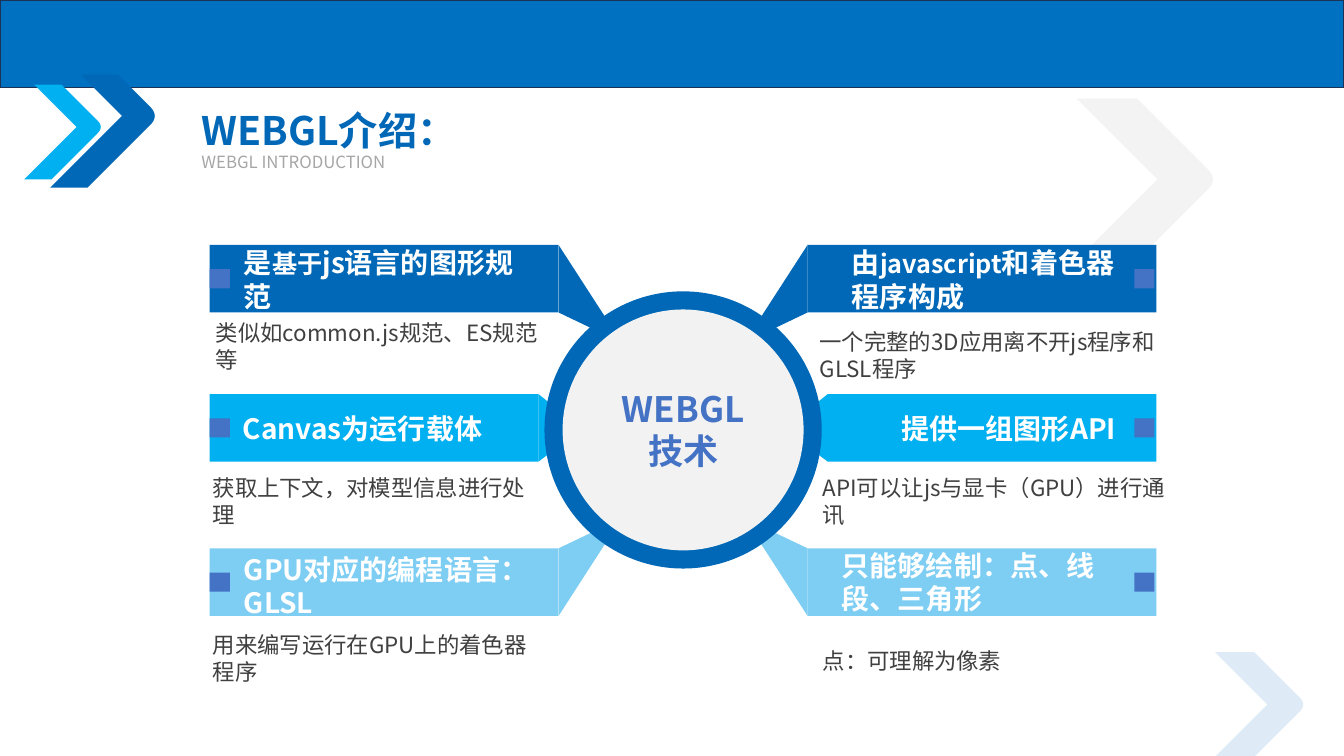
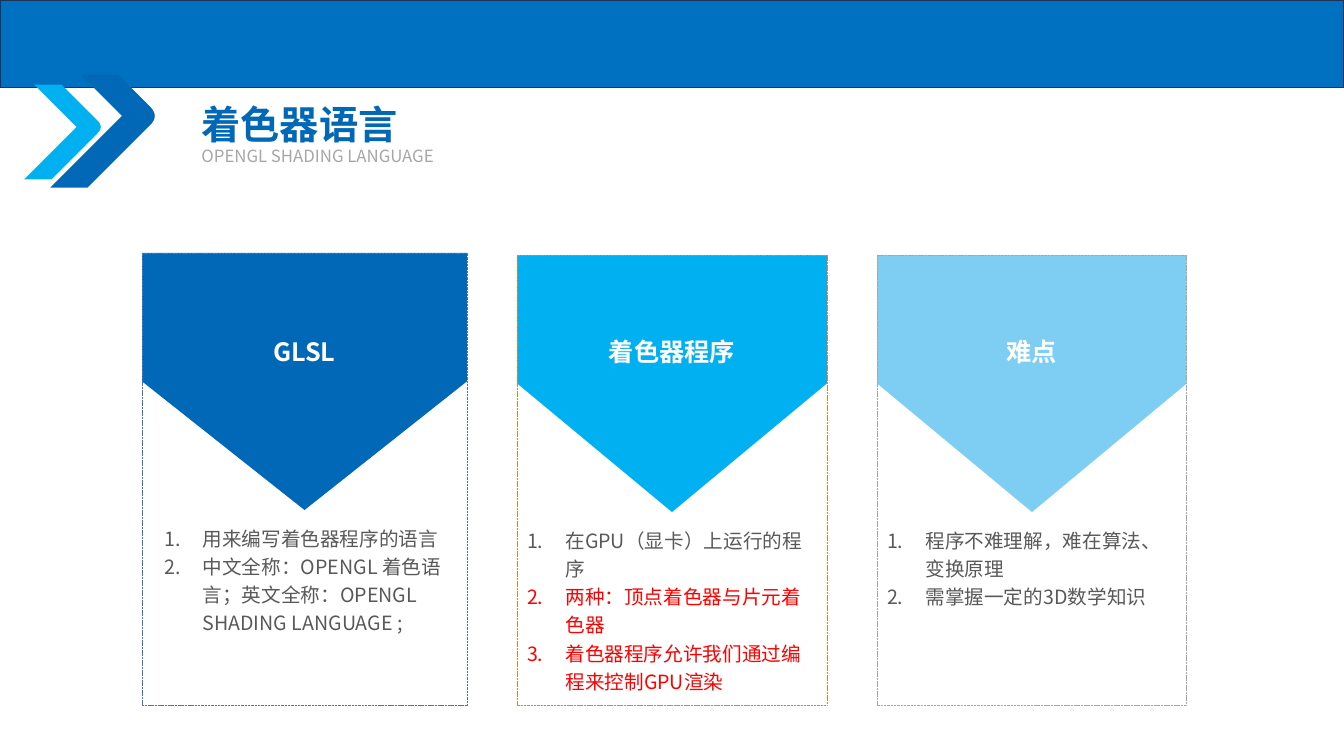
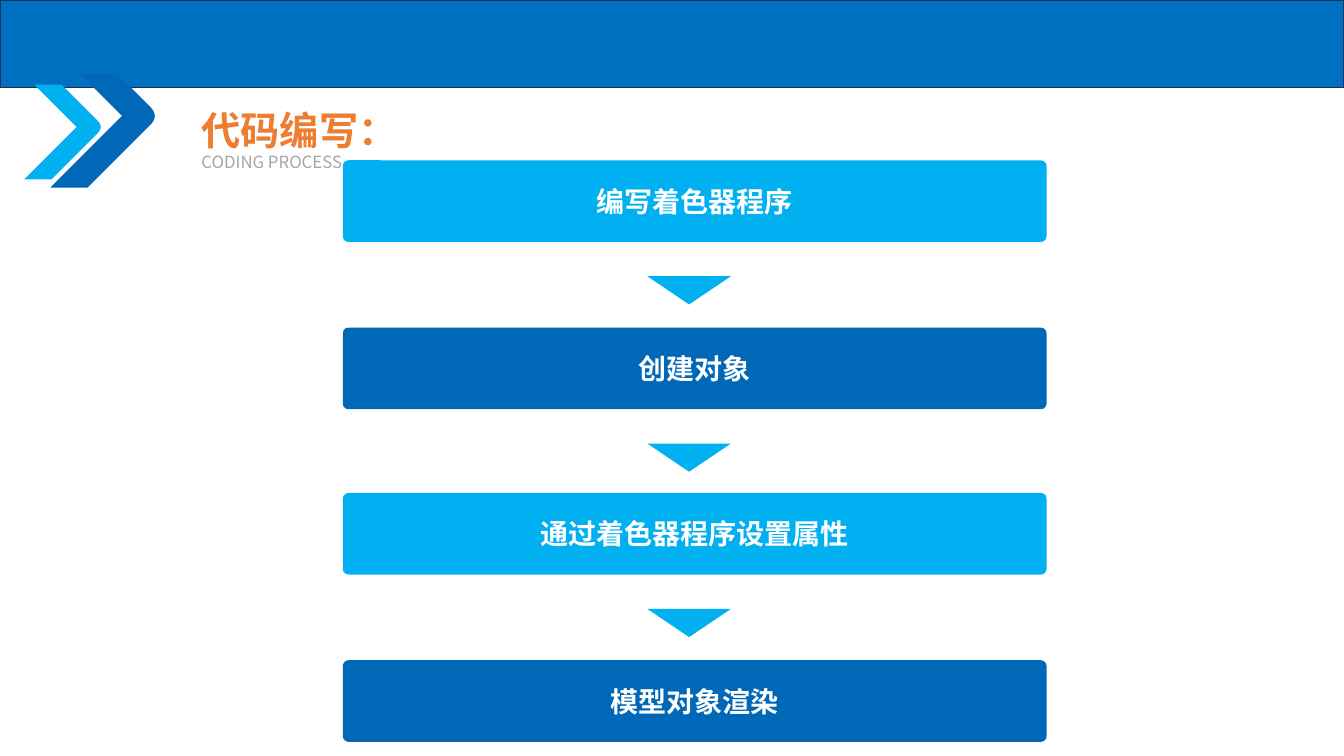
from dataclasses import dataclass

from lxml.etree import SubElement as Sub
from pptx import Presentation
from pptx.dml.color import RGBColor as RGB
from pptx.enum.dml import MSO_LINE as Dash
from pptx.enum.shapes import MSO_SHAPE as Kind
from pptx.enum.text import MSO_ANCHOR as Anchor, MSO_AUTO_SIZE as Fit, PP_ALIGN as Align
from pptx.oxml.ns import qn
from pptx.util import Inches, Pt


@dataclass(frozen=True)
class Theme:
    """Colours, type sizes and font of the deck."""
    font: str = "Noto Sans CJK SC"
    band: str = "0070C0"
    edge: str = "1E3256"
    deep: str = "0068B7"
    sky: str = "00B0F0"
    pale: str = "7ECEF4"
    mark: str = "4472C4"
    warm: str = "ED7D31"
    gray: str = "A5A5A5"
    faint: str = "A6A6A6"
    disc: str = "F2F2F2"
    ghost: str = "F3F3F3"
    mist: str = "DEEBF7"
    note: str = "404040"
    body: str = "595959"
    alert: str = "FF0000"
    white: str = "FFFFFF"
    title: float = 28
    hub: float = 25
    head: float = 20
    label: float = 18
    text: float = 16
    item: float = 14
    small: float = 12


T = Theme()
AXIS = 13.55
ARM_H = 0.67


def paint(shape, fill=None, line=None, width=1, dash=None):
    """Give a shape its fill and outline, without a shadow."""
    shape.shadow.inherit = False
    if fill:
        shape.fill.solid()
        shape.fill.fore_color.rgb = RGB.from_string(fill)
    else:
        shape.fill.background()
    if line:
        shape.line.color.rgb = RGB.from_string(line)
        shape.line.width = Pt(width)
        if dash:
            shape.line.dash_style = dash
    else:
        shape.line.fill.background()
    return shape


def add(slide, kind, box, **look):
    """Add a painted preset shape in a box of inches."""
    return paint(slide.shapes.add_shape(kind, *map(Inches, box)), **look)


def outline(slide, points, fill):
    """Add a closed polygon through points in inches."""
    spots = [(Inches(x), Inches(y)) for x, y in points]
    pen = slide.shapes.build_freeform(*spots[0])
    pen.add_line_segments(spots[1:], close=True)
    return paint(pen.convert_to_shape(), fill)


def style(run, size, color, bold=False):
    """Format one run for Latin and East Asian text."""
    run.font.color.rgb = RGB.from_string(color)
    for key, val in {"size": Pt(size), "bold": bold, "name": T.font}.items():
        setattr(run.font, key, val)
    Sub(run.font._element, qn("a:ea"), typeface=T.font)


def number(para):
    """Number a paragraph with a hanging indent."""
    props = para._p.get_or_add_pPr()
    props.set("marL", str(Inches(0.38)))
    props.set("indent", str(-Inches(0.38)))
    Sub(props, qn("a:buAutoNum"), type="arabicPeriod")


def write(shape, paras, size, color, bold=False, align=Align.LEFT, anchor=Anchor.TOP,
          pad=(0.1, 0.05), space=1, listed=False):
    """Fill a shape with paragraphs of text or of (text, size, colour) runs."""
    frame = shape.text_frame
    form = {"word_wrap": True, "auto_size": Fit.NONE, "vertical_anchor": anchor,
            "margin_left": Inches(pad[0]), "margin_right": Inches(pad[0]),
            "margin_top": Inches(pad[1]), "margin_bottom": Inches(pad[1])}
    for key, val in form.items():
        setattr(frame, key, val)
    for i, runs in enumerate(paras):
        para = frame.add_paragraph() if i else frame.paragraphs[0]
        para.alignment, para.line_spacing = align, space
        if listed:
            number(para)
        for part in [(runs, size, color)] if isinstance(runs, str) else runs:
            run = para.add_run()
            run.text = part[0]
            style(run, part[1], part[2], bold)


def label(slide, box, paras, size, color, **form):
    """Add a text box in a box of inches."""
    write(slide.shapes.add_textbox(*map(Inches, box)), paras, size, color, **form)


def chevron(slide, x, y, up, down, thick, cut, fill):
    """Draw a chevron with a rounded tip whose inner corner is at x, y."""
    tip = x + thick
    bend = [(tip - cut * (1 + s * s) / 2, y + cut * s)
            for s in (n / 5 for n in range(-5, 6))]
    outline(slide, [(x, y), (x - up, y - up), (tip - up, y - up), *bend,
                    (tip - down, y + down), (x - down, y + down)], fill)


def start(deck, title, sub, top=1, color=T.deep):
    """Add a slide with band, corner chevrons, title and subtitle."""
    slide = deck.slides.add_slide(deck.slide_layouts[5])
    add(slide, Kind.RECTANGLE, (0, 0, 13.33, 0.87), fill=T.band, line=T.edge)
    head = slide.shapes.title
    place = {"left": 1.9, "top": top, "width": 5.54, "height": 0.57}
    for key, val in place.items():
        setattr(head, key, Inches(val))
    write(head, [title], T.title, color, bold=True)
    label(slide, (1.9, top + 0.46, 5.54, 0.3), [sub], T.small, T.faint)
    chevron(slide, 1.21, 1.15, 0.41, 0.71, 0.37, 0.09, T.deep)
    chevron(slide, 0.76, 1.26, 0.42, 0.52, 0.27, 0.06, T.sky)
    return slide


def arm(slide, top, edge, flare, fill, right):
    """Draw a banner that flares to the hub, with its square mark."""
    wide = edge - 2.08
    left = AXIS - edge if right else 2.08
    add(slide, Kind.RECTANGLE, (left, top, wide, ARM_H), fill=fill)
    points = [(edge, top), *((edge + x, top + y) for x, y in flare), (edge, top + ARM_H)]
    outline(slide, [(AXIS - x, y) for x, y in points] if right else points, fill)
    add(slide, Kind.RECTANGLE, (11.25 if right else 2.08, top + 0.24, 0.2, 0.19), fill=T.mark)


def hub(slide, x, y, size, lines):
    """Draw a ringed disc with centred text."""
    rim = 0.18
    add(slide, Kind.OVAL, (x, y, size, size), fill=T.deep)
    disc = add(slide, Kind.OVAL, (x + rim, y + rim, size - 2 * rim, size - 2 * rim), fill=T.disc)
    write(disc, lines, T.hub, T.mark, bold=True, align=Align.CENTER, anchor=Anchor.MIDDLE)


def intro(deck):
    """Build the hub slide with six arms."""
    slide = start(deck, "WEBGL介绍：", "WEBGL INTRODUCTION")
    chevron(slide, 11.48, 1.78, 0.8, 0.8, 0.6, 0.1, T.ghost)
    chevron(slide, 12.57, 6.99, 0.52, 0.52, 0.39, 0.07, T.mist)
    rows = [(2.43, 5.54, [(0.53, 0.82), (0.46, 0.89)], T.deep),
            (3.91, 5.34, [(0.35, 0.28), (0.35, 0.41)], T.sky),
            (5.44, 5.54, [(0.46, -0.22), (0.53, -0.15)], T.pale)]
    big, mid = (T.head, T.white), (T.label, T.white)
    texts = [
        (0, 2.42, -0.05, [("是", *big), ("基于", *mid), ("js语言的图形规范", *big)],
         (2.14, 0.72, 3.26, 0.56), "类似如common.js规范、ES规范等"),
        (1, 2.41, 0.11, "Canvas为运行载体",
         (2.11, 0.82, 3.16, 0.48), "获取上下文，对模型信息进行处理"),
        (2, 2.42, -0.02, "GPU对应的编程语言：GLSL",
         (2.11, 0.73, 3.15, 0.72), "用来编写运行在GPU上的着色器程序"),
        (0, 8.45, -0.05, [("由", *big), ("javascript", *mid), ("和着色器程序构成", *big)],
         (8.13, 0.79, 3.37, 0.6), "一个完整的3D应用离不开js程序和GLSL程序"),
        (1, 8.37, 0.11, "提供一组图形API",
         (8.16, 0.85, 3.47, 0.42), "API可以让js与显卡（GPU）进行通讯"),
        (2, 8.35, -0.06, "只能够绘制：点、线段、三角形",
         (8.16, 0.82, 3.31, 0.58), "点：可理解为像素")]
    pad = (0, 0.06)
    for row, x, dy, head, (left, drop, wide, high), note in texts:
        top, right = rows[row][0], x > AXIS / 2
        arm(slide, *rows[row], right)
        align = Align.RIGHT if right and row == 1 else Align.LEFT
        label(slide, (x, top + dy, 2.7, 0.6), [head], *big, bold=True, align=align, pad=pad)
        label(slide, (left, top + drop, wide, high), [note], T.text, T.note,
              anchor=Anchor.MIDDLE, pad=pad)
    hub(slide, 5.4, 2.89, 2.75, ["WEBGL", "技术"])


def card(slide, box, fill, line, head, items, shift=0):
    """Draw a dashed card with a pointed header and a numbered list."""
    x, y, wide, high = box
    drop = 2.55
    plate = add(slide, Kind.PENTAGON,
                (x + (wide - drop) / 2, y + (drop - wide) / 2, drop, wide), fill=fill)
    plate.rotation = 90
    add(slide, Kind.RECTANGLE, box, line=line, width=0.25, dash=Dash.SQUARE_DOT)
    label(slide, (x + 0.3, 3.23, wide - 0.6, 0.44), [head], T.label, T.white,
          bold=True, align=Align.CENTER, space=1.2)
    label(slide, (x + shift, y + 2.62, wide - shift, 1.8), items, T.item, T.body,
          space=1.2, listed=True)


def shader(deck):
    """Build the slide of three cards."""
    slide = start(deck, "着色器语言", "OPENGL SHADING LANGUAGE", top=0.94)
    red = (T.item, T.alert)
    card(slide, (1.41, 2.51, 3.22, 4.49), T.deep, T.mark, "GLSL",
         ["用来编写着色器程序的语言",
          "中文全称：OPENGL 着色语言；英文全称：OPENGL SHADING LANGUAGE ;"], 0.12)
    card(slide, (5.13, 2.53, 3.07, 4.47), T.sky, T.warm, "着色器程序",
         ["在GPU（显卡）上运行的程序",
          [("两种：顶点着色器与片元着色器", *red)],
          [("着色器程序允许我们通过编程来控制GPU渲染", *red)]])
    card(slide, (8.7, 2.53, 3.07, 4.47), T.pale, T.gray, "难点",
         ["程序不难理解，难在算法、变换原理", "需掌握一定的3D数学知识"])


def flow(slide, x, wide, high, steps):
    """Stack rounded bars at the given tops, with arrowheads between."""
    for i, (top, name) in enumerate(steps):
        bar = add(slide, Kind.ROUNDED_RECTANGLE, (x, top, wide, high),
                  fill=T.deep if i % 2 else T.sky)
        bar.adjustments[0] = 0.07
        write(bar, [name], T.head, T.white, bold=True, align=Align.CENTER, anchor=Anchor.MIDDLE)
        if i < len(steps) - 1:
            add(slide, Kind.FLOWCHART_MERGE, (x + 3.02, top + 1.15, 0.83, 0.28), fill=T.sky)


def coding(deck):
    """Build the slide of the coding steps."""
    slide = start(deck, "代码编写：", "CODING PROCESS", color=T.warm)
    flow(slide, 3.4, 6.98, 0.81,
         [(1.59, "编写着色器程序"), (3.25, "创建对象"),
          (4.89, "通过着色器程序设置属性"), (6.55, "模型对象渲染")])


def main():
    """Build and save the deck."""
    deck = Presentation()
    deck.slide_width, deck.slide_height = Inches(13.33), Inches(7.5)
    for build in (intro, shader, coding):
        build(deck)
    deck.save("out.pptx")


if __name__ == "__main__":
    main()
